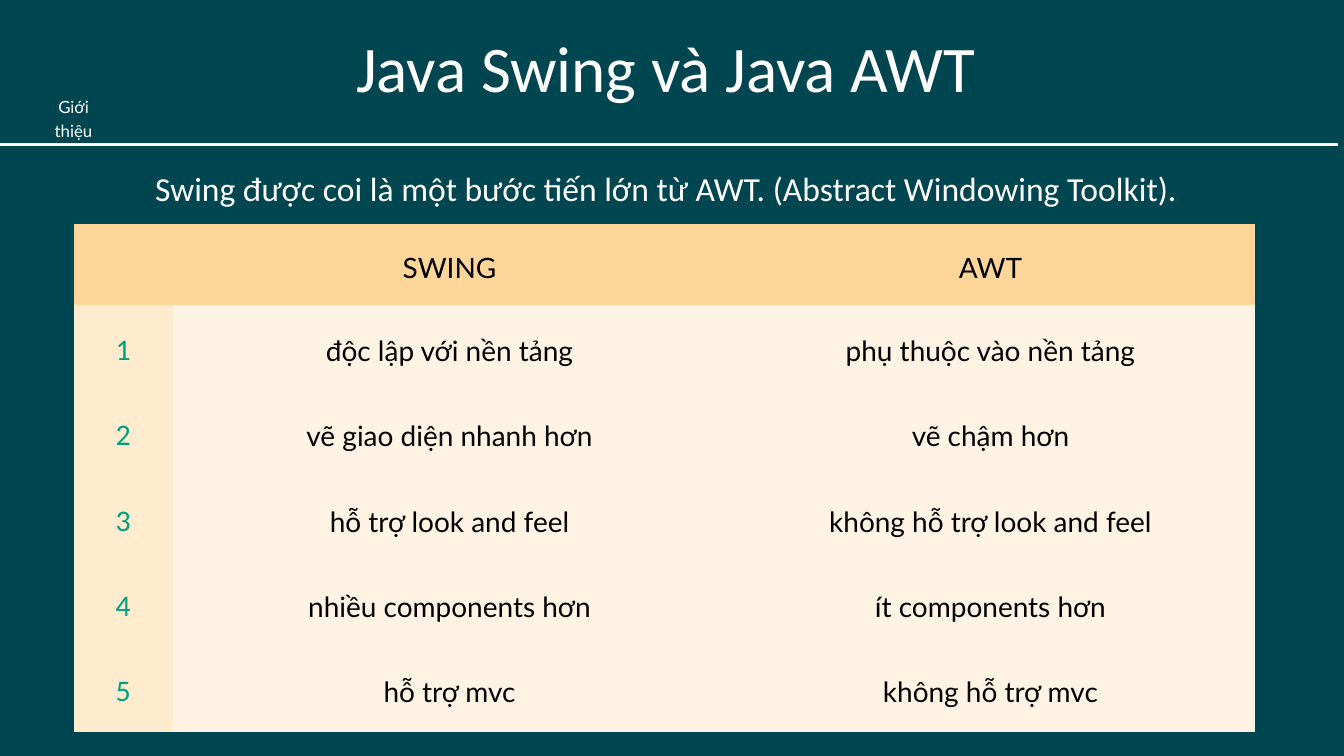
import lxml.etree
import pptx
import pptx.dml.color
import pptx.enum.shapes
import pptx.enum.text
import pptx.oxml
import pptx.oxml.ns
import pptx.util

Inches = pptx.util.Inches
Pt = pptx.util.Pt
ROWS = [
    ("", "SWING", "AWT"),
    ("1", "độc lập với nền tảng", "phụ thuộc vào nền tảng"),
    ("2", "vẽ giao diện nhanh hơn", "vẽ chậm hơn"),
    ("3", "hỗ trợ look and feel", "không hỗ trợ look and feel"),
    ("4", "nhiều components hơn", "ít components hơn"),
    ("5", "hỗ trợ mvc", "không hỗ trợ mvc"),
]


def rgb(hex_colour):
    """Turn a hex string into a colour."""
    return pptx.dml.color.RGBColor.from_string(hex_colour)


def write(frame, text, size, font, colour):
    """Write one centred paragraph with line spacing in step with its size."""
    frame.text = text
    paragraph = frame.paragraphs[0]
    paragraph.alignment = pptx.enum.text.PP_ALIGN.CENTER
    paragraph.line_spacing = Pt(round(size * 1.4, 1))
    for run in paragraph.runs:
        run.font.size = Pt(size)
        run.font.name = font
        run.font.color.rgb = rgb(colour)


def set_margins(target, margin):
    """Give a cell or text frame the same margin on all sides."""
    target.margin_left = target.margin_right = Inches(margin)
    target.margin_top = target.margin_bottom = Inches(margin)


def format_label(shape, box, text, size, font):
    """Place a text shape and write its white label."""
    shape.left, shape.top, shape.width, shape.height = map(Inches, box)
    frame = shape.text_frame
    frame.word_wrap = True
    frame.auto_size = pptx.enum.text.MSO_AUTO_SIZE.SHAPE_TO_FIT_TEXT
    frame.vertical_anchor = pptx.enum.text.MSO_ANCHOR.TOP
    set_margins(frame, 0)
    write(frame, text, size, font, "FFFFFF")


def add_label(slide, box, text, size, font):
    """Add a text box with a white label."""
    label = slide.shapes.add_textbox(*map(Inches, box))
    format_label(label, box, text, size, font)


def add_rule(slide):
    """Add the white line under the heading."""
    rule = slide.shapes.add_connector(
        pptx.enum.shapes.MSO_CONNECTOR.STRAIGHT,
        Inches(-0.09), Inches(2.15), Inches(19.91), Inches(2.15))
    rule.line.color.rgb = rgb("FFFFFF")
    rule.line.width = Pt(3)
    properties = rule._element.spPr
    lxml.etree.SubElement(properties, pptx.oxml.ns.qn("a:effectLst"))


def format_cell(cell, text, fill, size, font, colour):
    """Fill a borderless cell and write its text."""
    set_margins(cell, 0.21)
    cell.vertical_anchor = pptx.enum.text.MSO_ANCHOR.MIDDLE
    write(cell.text_frame, text, size, font, colour)
    properties = cell._tc.get_or_add_tcPr()
    for side in ("a:lnL", "a:lnR", "a:lnT", "a:lnB"):
        border = lxml.etree.SubElement(properties, pptx.oxml.ns.qn(side), w="0")
        lxml.etree.SubElement(border, pptx.oxml.ns.qn("a:noFill"))
    cell.fill.solid()
    cell.fill.fore_color.rgb = rgb(fill)


def add_comparison(slide):
    """Add the table that compares the two toolkits."""
    table = slide.shapes.add_table(
        len(ROWS), len(ROWS[0]),
        Inches(1.1), Inches(3.33), Inches(17.57), Inches(7.56)).table
    for column, width in zip(table.columns, (1.47, 8.24, 7.86)):
        column.width = Inches(width)
    for r, texts in enumerate(ROWS):
        table.rows[r].height = Inches(1.27 if r else 1.21)
        for c, text in enumerate(texts):
            if r and c == 0:
                look = ("FFEBCD", 32, "Calibri", "00A181")
            else:
                look = ("FFF4E3" if r else "FFD699", 30, "Lato", "000000")
            format_cell(table.cell(r, c), text, *look)


def main():
    """Build and save the slide."""
    deck = pptx.Presentation()
    deck.slide_width, deck.slide_height = Inches(20), Inches(11.25)
    slide = deck.slides.add_slide(deck.slide_layouts[5])
    slide.background.fill.solid()
    slide.background.fill.fore_color.rgb = rgb("004651")
    add_rule(slide)
    add_comparison(slide)
    add_label(slide, (0.56, 1.39, 1.07, 0.36), "Giới thiệu", 18, "Lato")
    format_label(slide.shapes.title, (4.08, 0.21, 11.66, 1.29),
                 "Java Swing và Java AWT", 69.7, "Calibri")
    add_label(slide, (0.46, 2.4, 18.91, 0.66),
              "Swing được coi là một bước tiến lớn từ AWT. "
              "(Abstract Windowing Toolkit).", 36, "Calibri")
    deck.save("out.pptx")


if __name__ == "__main__":
    main()
